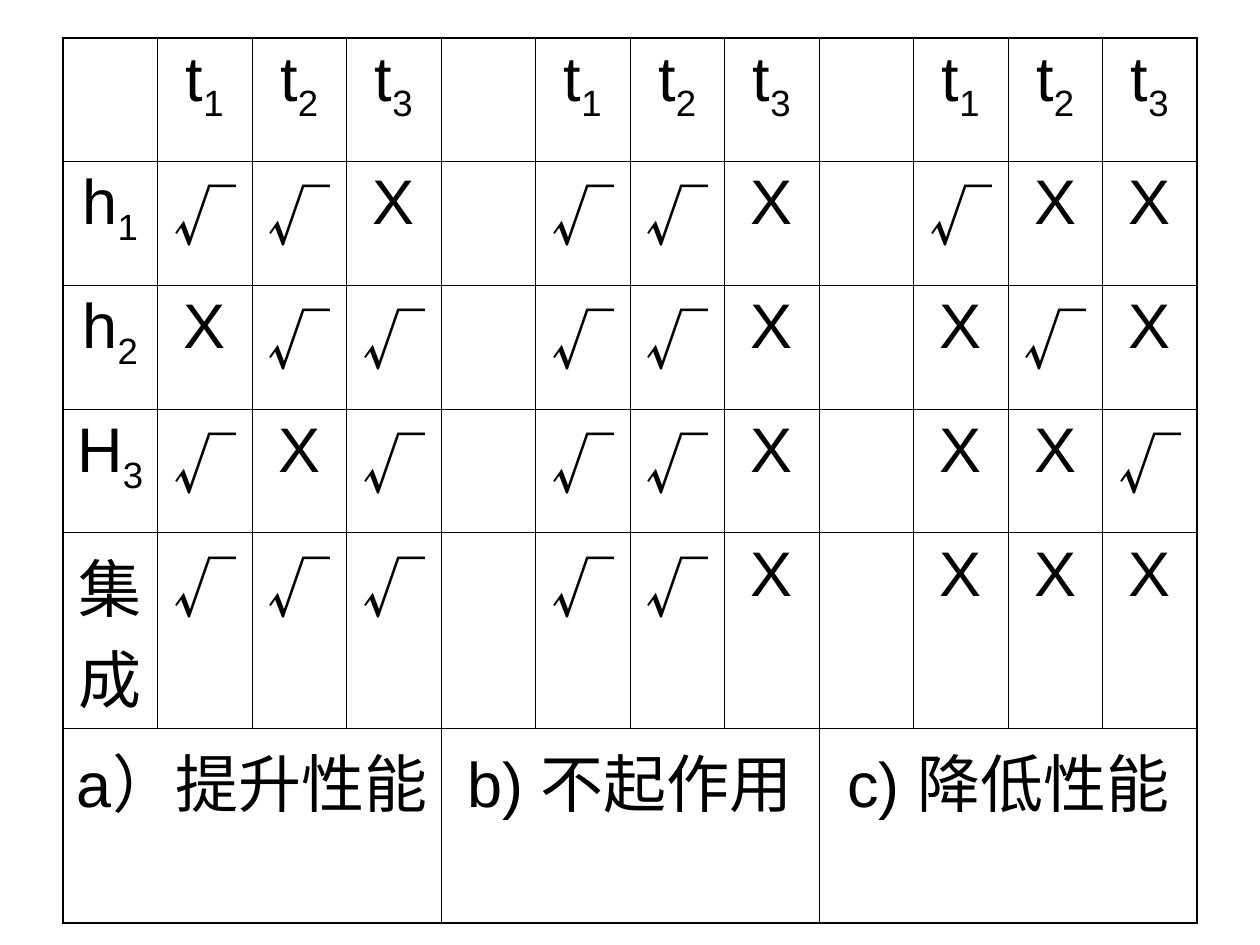
from lxml import etree
from pptx import Presentation
from pptx.dml.color import RGBColor
from pptx.enum.text import PP_ALIGN
from pptx.oxml.ns import qn
from pptx.util import Pt

BLACK = RGBColor(0, 0, 0)
CENTER = PP_ALIGN.CENTER
LATIN, CJK = "Arial", "Noto Sans CJK SC"
THIN, THICK = Pt(0.45), Pt(1.08)
CELL_FORMAT = {"margin_left": Pt(7.2), "margin_right": Pt(7.2),
               "margin_top": Pt(3.6), "margin_bottom": Pt(3.6)}
PARA_FORMAT = {"alignment": CENTER, "space_before": Pt(9)}
GROUP = 4
TESTS = ["t_1", "t_2", "t_3"]
RESULTS = [
    ("h_1", "√√X", "√√X", "√XX"),
    ("h_2", "X√√", "√√X", "X√X"),
    ("H_3", "√X√", "√√X", "XX√"),
    ("集成", "√√√", "√√X", "XXX"),
]
CAPTIONS = ["a）提升性能", "b) 不起作用", "c) 降低性能"]
HEIGHTS = [70.7] * 4 + [111.6] * 2

rows = [["", *TESTS] * 3]
for label, first, second, third in RESULTS:
    rows.append([label, *first, "", *second, "", *third])
rows.append([text for caption in CAPTIONS for text in (caption, "", "", "")])
n_rows, n_cols = len(rows), len(rows[0])


def set_borders(cell, widths):
    tcPr = cell._tc.get_or_add_tcPr()
    for side, width in widths.items():
        ln = etree.SubElement(tcPr, qn("a:ln" + side), w=str(width))
        fill = etree.SubElement(ln, qn("a:solidFill"))
        etree.SubElement(fill, qn("a:srgbClr"), val=str(BLACK))


def add_run(p, text, subscript=False):
    r = p.add_run()
    r.text = text
    font = {"name": CJK if text == "√" else LATIN, "size": Pt(36)}
    for name, value in font.items():
        setattr(r.font, name, value)
    r.font.color.rgb = BLACK
    rPr = r._r.get_or_add_rPr()
    etree.SubElement(rPr, qn("a:ea"), typeface=CJK)
    if subscript:
        rPr.set("baseline", "-25000")


prs = Presentation()
prs.slide_width, prs.slide_height = Pt(720), Pt(540)
s = prs.slides.add_slide(prs.slide_layouts[6])
table = s.shapes.add_table(n_rows, n_cols, Pt(36), Pt(21.6),
                           Pt(648), Pt(sum(HEIGHTS))).table
table.first_row = table.horz_banding = False
for col in table.columns:
    col.width = Pt(54)
for row, height in zip(table.rows, HEIGHTS):
    row.height = Pt(height)
for j in range(0, n_cols, GROUP):
    table.cell(n_rows - 1, j).merge(table.cell(n_rows - 1, j + GROUP - 1))

for i, texts in enumerate(rows):
    for j, text in enumerate(texts):
        cell = table.cell(i, j)
        span = cell.span_width if cell.is_merge_origin else 1
        set_borders(cell, {
            "L": THICK if j == 0 else THIN,
            "R": THICK if j + span == n_cols else THIN,
            "T": THICK if i == 0 else THIN,
            "B": THICK if i == n_rows - 1 else THIN,
        })
        cell.fill.background()
        for name, value in CELL_FORMAT.items():
            setattr(cell, name, value)
        if not text:
            continue
        p = cell.text_frame.paragraphs[0]
        for name, value in PARA_FORMAT.items():
            setattr(p, name, value)
        base, _, index = text.partition("_")
        add_run(p, base)
        if index:
            add_run(p, index, subscript=True)

prs.save("out.pptx")
